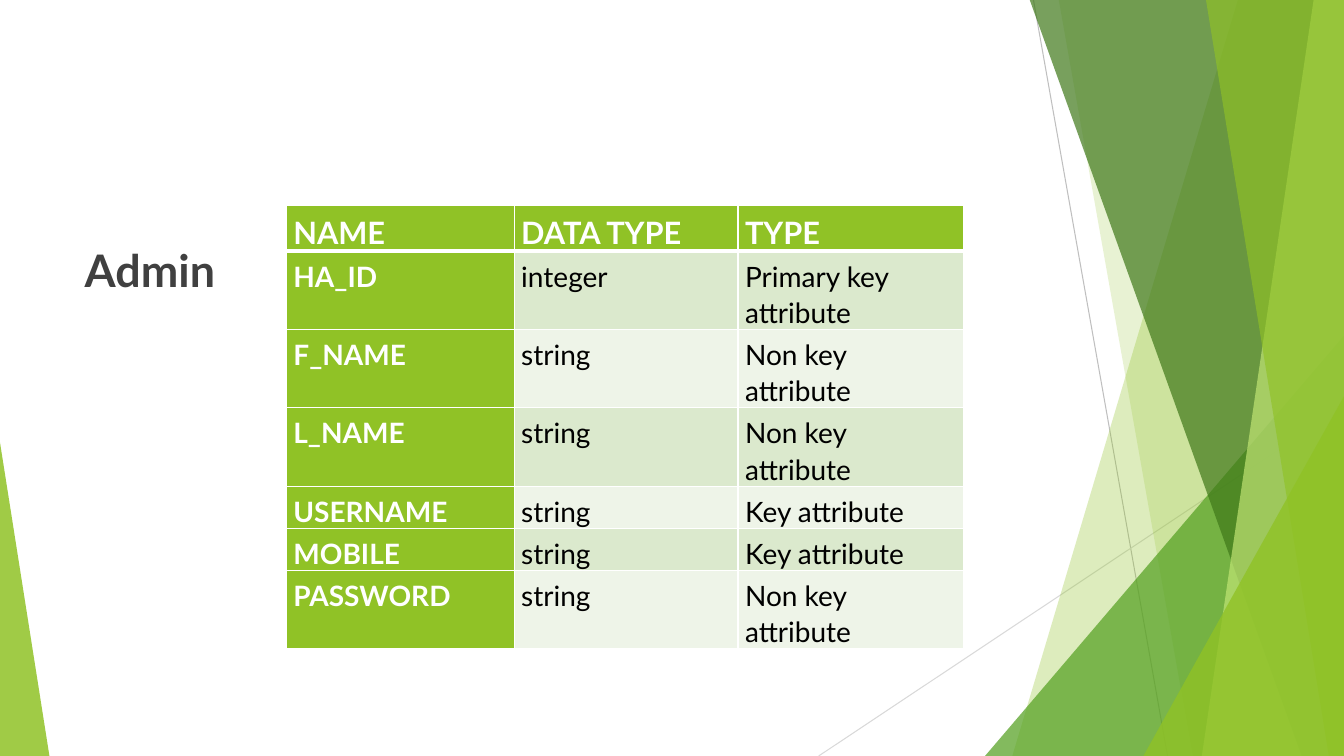
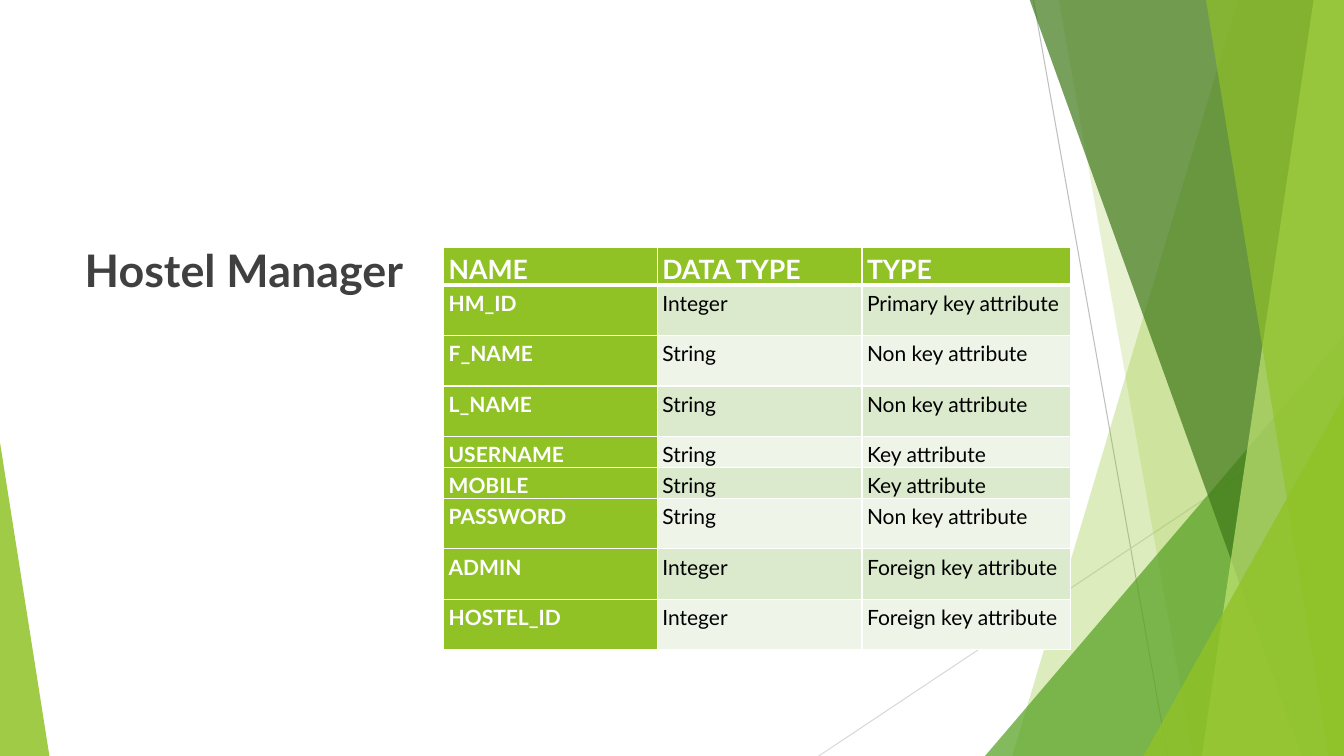
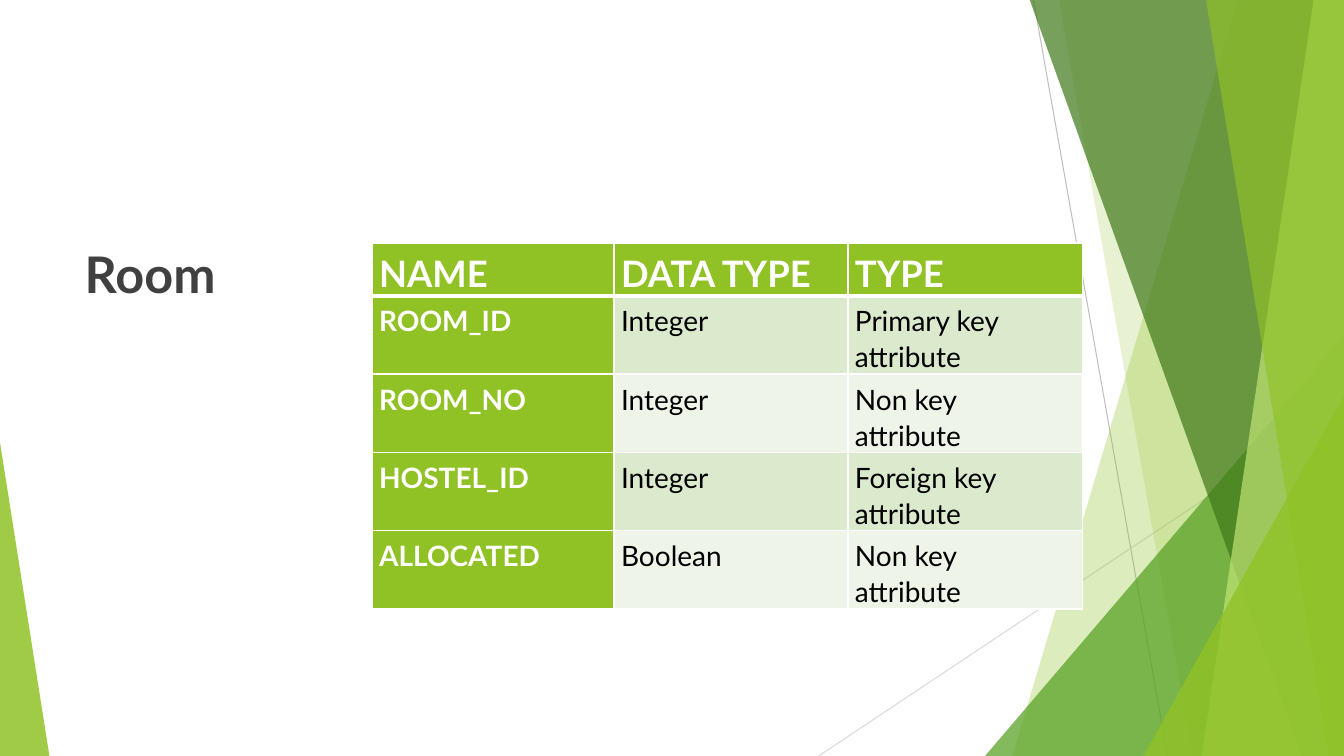
from lxml import etree
from pptx import Presentation
from pptx import util as u
from pptx.dml.color import RGBColor
from pptx.enum import shapes, text
from pptx.oxml import ns

FONT = "Lato"
GREEN, PALE, FAINT = "90C226", "DBE9CD", "EEF4E8"
WHITE, BLACK, GREY = "FFFFFF", "000000", "404040"
WIDE, HIGH = 13.33, 7.5


def paint(fill, tint, alpha=100):
    """Give a fill a solid colour, with its opacity in percent."""
    fill.solid()
    fill.fore_color.rgb = RGBColor.from_string(tint)
    if alpha < 100:
        node = fill._xPr.find(".//" + ns.qn("a:srgbClr"))
        etree.SubElement(node, ns.qn("a:alpha"), val=str(alpha * 1000))


def write(para, words, size, tint, bold):
    run = para.add_run()
    run.text = words
    run.font.name = FONT
    run.font.size = u.Pt(size)
    run.font.bold = bold
    paint(run.font.fill, tint)


deck = Presentation()
deck.slide_width, deck.slide_height = u.Inches(WIDE), u.Inches(HIGH)

pages = [
    dict(name="Admin", size=32, left=2.84, top=2.04,
         cols=[2.26, 2.22, 2.24], rows=[0.38, 0.69, 0.68, 0.68, 0.35, 0.35, 0.69],
         pads=[0.07, 0.06, 0.08, 0], head=22, body=20, anchor="TOP",
         data=[("HA_ID", "integer", "Primary key"),
               ("F_NAME", "string", "Non key"),
               ("L_NAME", "string", "Non key"),
               ("USERNAME", "string", "Key"),
               ("MOBILE", "string", "Key"),
               ("PASSWORD", "string", "Non key")]),
    dict(name="Hostel Manager", size=32, left=4.4, top=2.45,
         cols=[2.12, 2.03, 2.07],
         rows=[0.34, 0.5, 0.5, 0.5, 0.27, 0.27, 0.5, 0.5, 0.5],
         pads=[0.05, 0.04, 0.06, 0], head=19, body=15, anchor="BOTTOM",
         data=[("HM_ID", "Integer", "Primary key"),
               ("F_NAME", "String", "Non key"),
               ("L_NAME", "String", "Non key"),
               ("USERNAME", "String", "Key"),
               ("MOBILE", "String", "Key"),
               ("PASSWORD", "String", "Non key"),
               ("ADMIN", "Integer", "Foreign key"),
               ("HOSTEL_ID", "Integer", "Foreign key")]),
    dict(name="Room", size=36, left=3.69, top=2.41,
         cols=[2.4, 2.32, 2.33], rows=[0.45, 0.68, 0.68, 0.68, 0.69],
         pads=[0.07, 0.06, 0.16, 0], head=26, body=20, anchor="BOTTOM",
         data=[("ROOM_ID", "Integer", "Primary key"),
               ("ROOM_NO", "Integer", "Non key"),
               ("HOSTEL_ID", "Integer", "Foreign key"),
               ("ALLOCATED", "Boolean", "Non key")]),
]

for page in pages:
    slide = deck.slides.add_slide(deck.slide_layouts[1])
    title = slide.shapes.title.element
    title.getparent().remove(title)

    label = slide.placeholders[1]
    label.left, label.top = u.Inches(0.74), u.Inches(2.36)
    label.width, label.height = u.Inches(9.4), u.Inches(4.24)
    para = label.text_frame.paragraphs[0]
    para.space_before = u.Pt(10)
    props = para._p.get_or_add_pPr()
    props.set("marL", "0")
    props.set("indent", "0")
    etree.SubElement(props, ns.qn("a:buNone"))
    write(para, page["name"], page["size"], GREY, True)

    cols, rows = page["cols"], page["rows"]
    table = slide.shapes.add_table(
        len(rows), len(cols), u.Inches(page["left"]), u.Inches(page["top"]),
        u.Inches(sum(cols)), u.Inches(sum(rows))).table
    for col, width in zip(table.columns, cols):
        col.width = u.Inches(width)
    for row, height in zip(table.rows, rows):
        row.height = u.Inches(height)

    grid = [("NAME", "DATA TYPE", "TYPE")]
    grid += [(name, kind, key + " attribute") for name, kind, key in page["data"]]
    for r, line in enumerate(grid):
        for c, words in enumerate(line):
            cell = table.cell(r, c)
            (cell.margin_left, cell.margin_top, cell.margin_right,
             cell.margin_bottom) = [u.Inches(pad) for pad in page["pads"]]
            cell.vertical_anchor = text.MSO_ANCHOR[page["anchor"] if r == 0 else "TOP"]

            for side in "LRTB":
                thick = (r, side) in [(0, "B"), (1, "T")]
                edge = etree.SubElement(cell._tc.get_or_add_tcPr(), ns.qn("a:ln" + side),
                                        w=str(u.Pt(3 if thick else 1)))
                solid = etree.SubElement(edge, ns.qn("a:solidFill"))
                etree.SubElement(solid, ns.qn("a:srgbClr"), val=WHITE)

            strong = r == 0 or c == 0
            paint(cell.fill, GREEN if strong else PALE if r % 2 else FAINT)
            para = cell.text_frame.paragraphs[0]
            para.line_spacing = 1.07
            write(para, words, page["body"] if r else page["head"],
                  WHITE if strong else BLACK, strong)

# The facets are drawn as one group, then moved to the master.
group = deck.slides[0].shapes.add_group_shape()
art = group.shapes

for ends, tint in [((10.25, 0, 11.58, HIGH), "BFBFBF"),
                   ((WIDE, 4.03, 8.12, HIGH), "D9D9D9")]:
    line = art.add_connector(shapes.MSO_CONNECTOR.STRAIGHT, *map(u.Inches, ends))
    paint(line.line.fill, tint)
    line.line.width = u.Pt(0.75)
    etree.SubElement(line.element.spPr, ns.qn("a:effectLst"))

# Bands: left edge at the top, left edge at the bottom, colour, opacity.
# Peaks: left, top, width, side of the tip, colour, opacity.
facets = [
    (12.28, 10.04, GREEN, 30),
    (10.5, 11.83, GREEN, 20),
    (9.77, 3.33, 3.56, 1, "54A021", 72),
    (10.21, 12.91, "3F7819", 70),
    (13.03, 11.92, "C0E474", 70),
    (11.96, 13.18, GREEN, 65),
    (11.34, 3.93, 1.99, 1, GREEN, 80),
    (0, 4.39, 0.49, 0, GREEN, 85),
]
for *place, tint, alpha in facets:
    if len(place) == 2:
        high, low = place
        pen = art.build_freeform(u.Inches(high), u.Inches(-0.01))
        pen.add_line_segments([(u.Inches(x), u.Inches(y)) for x, y in
                               [(WIDE, -0.01), (WIDE, HIGH), (low, HIGH)]])
        facet = pen.convert_to_shape()
    else:
        left, top, width, tip = place
        facet = art.add_shape(shapes.MSO_SHAPE.ISOSCELES_TRIANGLE,
                              *map(u.Inches, (left, top, width, HIGH - top)))
        facet.adjustments[0] = tip
    paint(facet.fill, tint, alpha)
    facet.line.fill.background()
    facet.shadow.inherit = False

for n, node in enumerate(group.element.iter(ns.qn("p:cNvPr")), 100):
    node.set("id", str(n))
deck.slide_master.shapes.element.append(group.element)

deck.save("out.pptx")
